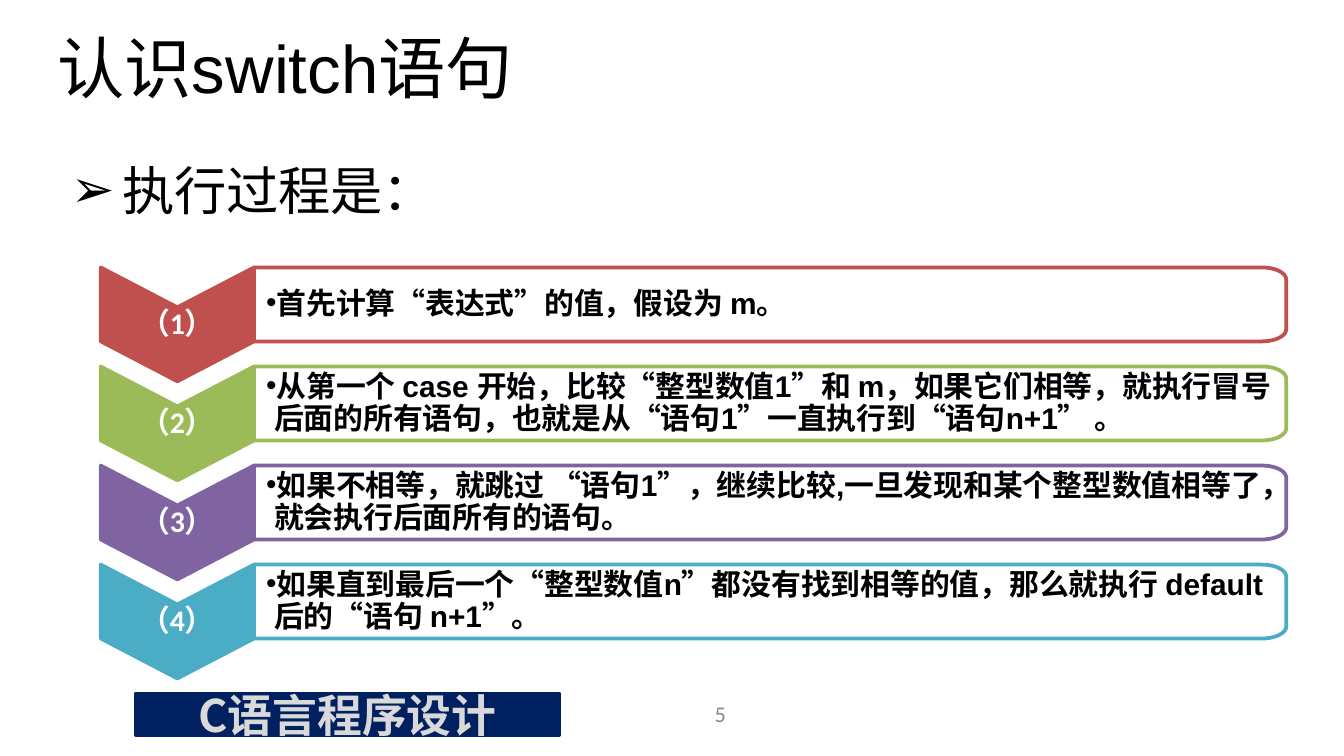
from dataclasses import dataclass
from math import cos, pi, sin

from lxml import etree
from pptx import Presentation
from pptx import util as u
from pptx.dml.color import RGBColor
from pptx.enum import shapes, text
from pptx.oxml.ns import qn

CELL = u.Inches(0.1)  # grid unit: the slide is 100 columns wide
BLACK = RGBColor(0x00, 0x00, 0x00)
WHITE = RGBColor(0xFF, 0xFF, 0xFF)
NAVY = RGBColor(0x00, 0x20, 0x60)
LIGHT_GREY = RGBColor(0xD9, 0xD9, 0xD9)
GREY = RGBColor(0x89, 0x89, 0x89)
RED = RGBColor(0xC0, 0x50, 0x4D)
GREEN = RGBColor(0x9B, 0xBB, 0x59)
PURPLE = RGBColor(0x80, 0x64, 0xA2)
TEAL = RGBColor(0x4B, 0xAC, 0xC6)
CJK = "Noto Sans CJK SC"

FIRST_ROW, ROW_STEP = 19.9, 7.37
CHEVRON_LEFT, BODY_LEFT, BODY_RIGHT = 7.5, 18.9, 95.7
BODY_HEIGHT, POINT_DEPTH = 5.5, 2.97
CORNER_W, CORNER_H = 1.8, 0.9
CORNER_STEPS = 10


@dataclass(frozen=True)
class Step:
    label: str
    body: str
    color: RGBColor


STEPS = [
    Step("（1）", "首先计算“表达式”的值，假设为 m。", RED),
    Step("（2）", "从第一个 case 开始，比较“整型数值1”和 m，如果它们相等，就执行"
         "冒号后面的所有语句，也就是从“语句1”一直执行到“语句n+1” 。", GREEN),
    Step("（3）", "如果不相等，就跳过 “语句1”，继续比较,一旦发现和某个整型数值相等"
         "了，就会执行后面所有的语句。", PURPLE),
    Step("（4）", "如果直到最后一个“整型数值n”都没有找到相等的值，那么就执行 "
         "default 后的“语句 n+1”。", TEAL),
]


def cells(n: float) -> int:
    return round(n * CELL)


def write(sp, content: str, *, size: float, color=BLACK, font="Arial", bold=False,
          align=text.PP_ALIGN.LEFT, anchor=text.MSO_ANCHOR.TOP, wrap=True,
          insets=(1, 0.5, 1, 0.5), bullet="", indent=0.0,
          line_spacing=None, after=None) -> None:
    """Fill a shape with one paragraph; insets (l, t, r, b) and indent are in grid cells."""
    tf = sp.text_frame
    tf.word_wrap = wrap
    tf.vertical_anchor = anchor
    tf.margin_left, tf.margin_top, tf.margin_right, tf.margin_bottom = map(cells, insets)
    p = tf.paragraphs[0]
    if bullet:
        pPr = p._p.get_or_add_pPr()
        pPr.set("marL", str(cells(indent)))
        pPr.set("indent", str(-cells(indent)))
        clr = etree.SubElement(pPr, qn("a:buClr"))
        etree.SubElement(clr, qn("a:srgbClr"), val=str(color))
        etree.SubElement(pPr, qn("a:buFont"), typeface="Arial")
        etree.SubElement(pPr, qn("a:buChar"), char=bullet)
    p.alignment = align
    p.line_spacing = line_spacing
    p.space_after = after
    r = p.add_run()
    r.text = content
    r.font.size, r.font.bold, r.font.name = u.Pt(size), bold, font
    r.font.color.rgb = color
    etree.SubElement(r._r.get_or_add_rPr(), qn("a:ea"), typeface=CJK)


def paint(sp, fill: RGBColor, line: RGBColor) -> None:
    sp.shadow.inherit = False
    sp.fill.solid()
    sp.fill.fore_color.rgb = fill
    sp.line.color.rgb = line
    sp.line.width = u.Pt(2)


def add_text(s, left: float, top: float, width: float, height: float,
             content: str, **fmt) -> None:
    write(s.shapes.add_textbox(*map(cells, (left, top, width, height))), content, **fmt)


def add_outline(s, points: list[tuple[float, float]], fill: RGBColor, line: RGBColor):
    start, *rest = [(cells(x), cells(y)) for x, y in points]
    builder = s.shapes.build_freeform(*start)
    builder.add_line_segments(rest, close=True)
    sp = builder.convert_to_shape()
    paint(sp, fill, line)
    return sp


def add_chevron(s, top: float, step: Step) -> None:
    middle, bottom = (CHEVRON_LEFT + BODY_LEFT) / 2, top + BODY_HEIGHT
    sp = add_outline(s, [(BODY_LEFT, top), (BODY_LEFT, bottom),
                         (middle, bottom + POINT_DEPTH), (CHEVRON_LEFT, bottom),
                         (CHEVRON_LEFT, top), (middle, top + POINT_DEPTH)],
                     step.color, step.color)
    write(sp, step.label, size=16, color=WHITE, font="Calibri", bold=True,
          align=text.PP_ALIGN.CENTER, anchor=text.MSO_ANCHOR.MIDDLE,
          insets=(0.1, 4, 0.1, 4), line_spacing=0.9, after=u.Pt(7))


def add_body(s, top: float, step: Step) -> None:
    """Draw the bar whose two right corners are quarter ellipses."""
    bottom, x = top + BODY_HEIGHT, BODY_RIGHT - CORNER_W
    arc = [(CORNER_W * sin(a), CORNER_H * (1 - cos(a)))
           for a in (pi / 2 * i / CORNER_STEPS for i in range(CORNER_STEPS + 1))]
    upper = [(x + dx, top + dy) for dx, dy in arc]
    lower = [(x + dx, bottom - dy) for dx, dy in reversed(arc)]
    sp = add_outline(s, [(BODY_LEFT, top), *upper, *lower, (BODY_LEFT, bottom)],
                     WHITE, step.color)
    white = sp._element.spPr.find(qn("a:solidFill")).find(qn("a:srgbClr"))
    etree.SubElement(white, qn("a:alpha"), val="90000")
    write(sp, step.body, size=16, bold=True, anchor=text.MSO_ANCHOR.MIDDLE,
          insets=(0.9, 0.5, 0.5, 0.5), bullet="•", indent=0.6,
          line_spacing=0.9, after=u.Pt(3))


def main() -> None:
    prs = Presentation()
    prs.slide_width, prs.slide_height = cells(100), cells(56.25)
    s = prs.slides.add_slide(prs.slide_layouts[6])

    banner = s.shapes.add_shape(shapes.MSO_SHAPE.RECTANGLE,
                                *map(cells, (10.1, 51.6, 31.5, 3.1)))
    paint(banner, NAVY, NAVY)
    write(banner, "C语言程序设计", size=24, color=LIGHT_GREY, font=CJK, bold=True,
          align=text.PP_ALIGN.CENTER, anchor=text.MSO_ANCHOR.MIDDLE)

    add_text(s, 4.3, 11.3, 95.3, 5.7, "执行过程是：", size=28, bullet="➢", indent=3.8)
    add_text(s, 3.3, 1.5, 38.3, 7, "认识switch语句", size=36, wrap=False)
    add_text(s, 50, 51.3, 5, 3.6, "5", size=12, color=GREY, font="Calibri",
             align=text.PP_ALIGN.RIGHT, anchor=text.MSO_ANCHOR.MIDDLE)

    for i, step in enumerate(STEPS):
        top = FIRST_ROW + i * ROW_STEP
        add_chevron(s, top, step)
        add_body(s, top, step)
    prs.save("out.pptx")


if __name__ == "__main__":
    main()
